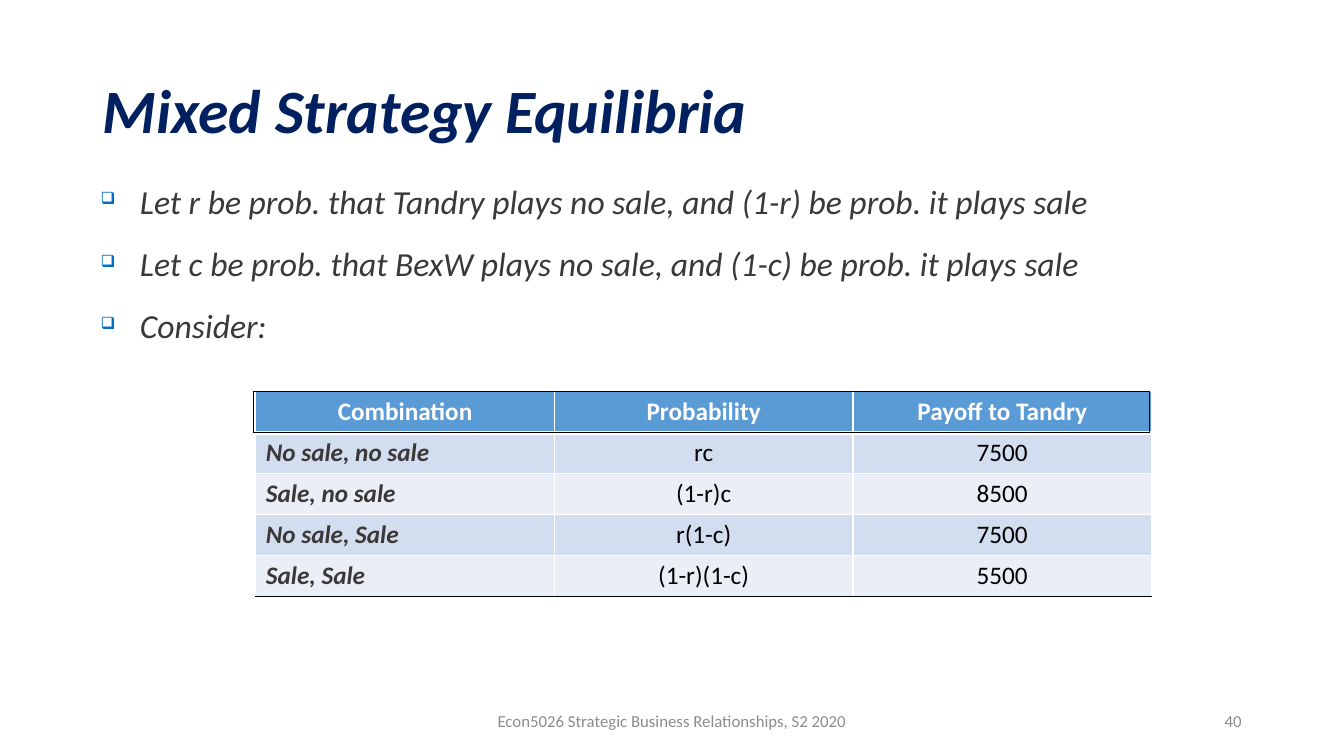
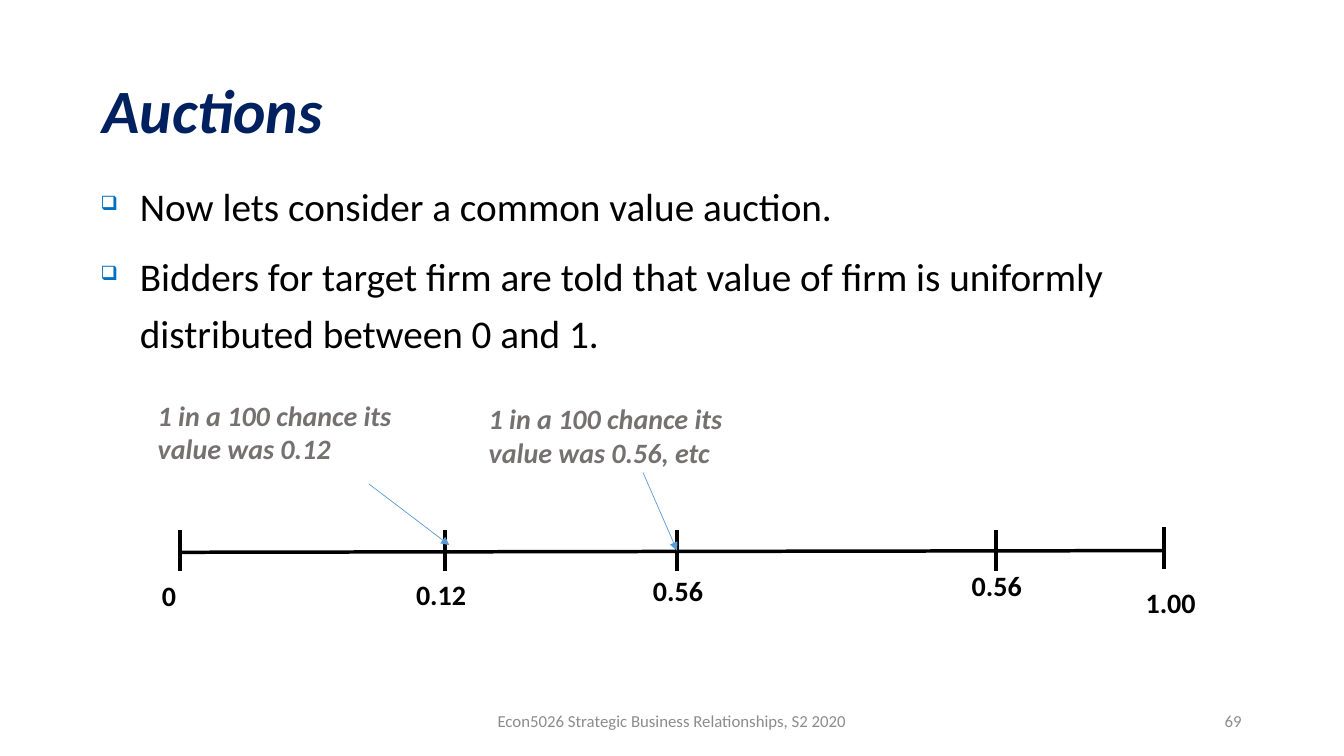
from lxml import etree
from pptx import Presentation
from pptx import util as u
from pptx.dml.color import RGBColor
from pptx.enum import shapes, text
from pptx.oxml import parse_xml
from pptx.oxml.ns import nsdecls, qn

NAVY = RGBColor(0x00, 0x20, 0x60)
BULLET_BLUE = RGBColor(0x00, 0x70, 0xC0)
BLUE = RGBColor(0x5B, 0x9B, 0xD5)
BAND_DARK = RGBColor(0xD2, 0xDE, 0xEF)
BAND_LIGHT = RGBColor(0xEA, 0xEF, 0xF7)
CHARCOAL = RGBColor(0x3B, 0x38, 0x38)
GREY = RGBColor(0x76, 0x71, 0x71)
FOOTER_GREY = RGBColor(0x8C, 0x8C, 0x8C)
BLACK = RGBColor(0, 0, 0)
WHITE = RGBColor(255, 255, 255)

FONT = "Calibri"
BULLET_FONT, SHADOWED_BOX = "Wingdings", "q"
LEFT, CENTRE, RIGHT = text.PP_ALIGN.LEFT, text.PP_ALIGN.CENTER, text.PP_ALIGN.RIGHT
MIDDLE, TOP = text.MSO_ANCHOR.MIDDLE, text.MSO_ANCHOR.TOP

# The slide is a grid of 160 columns by 90 rows of square cells.
COLUMNS, ROWS = 160, 90
CELL = u.Inches(7.5) // ROWS


def grid(*cells):
    """Turn grid columns and rows into lengths."""
    return [u.Emu(round(count * CELL)) for count in cells]


def write(frame, *lines, size=20, colour=BLACK, bold=False, italic=False,
          align=LEFT, anchor=TOP, spacing=None, before=0, bullet=None):
    """Fill a text frame with one paragraph per line."""
    frame.word_wrap = True
    frame.vertical_anchor = anchor
    for index, line in enumerate(lines):
        paragraph = frame.add_paragraph() if index else frame.paragraphs[0]
        paragraph.alignment = align
        if spacing:
            paragraph.line_spacing = spacing
        if index and before:
            paragraph.space_before = u.Pt(before)
        if bullet:
            properties = paragraph._p.get_or_add_pPr()
            indent = u.Inches(0.39)
            properties.set("marL", str(indent))
            properties.set("indent", str(-indent))
            for mark in (f'<a:buClr {nsdecls("a")}><a:srgbClr val="{BULLET_BLUE}"/></a:buClr>',
                         f'<a:buSzPct {nsdecls("a")} val="50000"/>',
                         f'<a:buFont {nsdecls("a")} typeface="{BULLET_FONT}" charset="2"/>',
                         f'<a:buChar {nsdecls("a")} char="{bullet}"/>'):
                properties.append(parse_xml(mark))
        run = paragraph.add_run()
        run.text = line
        run.font.name = FONT
        run.font.size = u.Pt(size)
        run.font.bold = bold
        run.font.italic = italic
        run.font.color.rgb = colour


deck = Presentation()
deck.slide_width, deck.slide_height = grid(COLUMNS, ROWS)

# Title, bullets and footer of both slides
pages = [
    ("Mixed Strategy Equilibria", "40", dict(size=24, colour=CHARCOAL, italic=True), [
        "Let r be prob. that Tandry plays no sale, and (1-r) be prob. it plays sale",
        "Let c be prob. that BexW plays no sale, and (1-c) be prob. it plays sale",
        "Consider:"]),
    ("Auctions", "69", dict(size=28), [
        "Now lets consider a common value auction.",
        "Bidders for target firm are told that value of firm is uniformly "
        "distributed between 0 and 1."]),
]
for heading, number, style, points in pages:
    slide = deck.slides.add_slide(deck.slide_layouts[5])
    title = slide.shapes.title
    title.left, title.top, title.width, title.height = grid(11, 4.8, 138, 17.4)
    write(title.text_frame, heading, size=44, colour=NAVY, bold=True, italic=True,
          anchor=MIDDLE, spacing=0.9)
    body = slide.shapes.add_textbox(*grid(10.8, 19.95, 138, 57.1))
    write(body.text_frame, *points, spacing=1.2, before=10, bullet=SHADOWED_BOX, **style)
    for words, left, width, align in (
            ("Econ5026 Strategic Business Relationships, S2 2020", 53, 54, CENTRE),
            (number, 113, 36, RIGHT)):
        footer = slide.shapes.add_textbox(*grid(left, 83.4, width, 4.8))
        write(footer.text_frame, words, size=12, colour=FOOTER_GREY, align=align, anchor=MIDDLE)

equilibria, auctions = deck.slides

# Payoff table
payoffs = [
    ("Combination", "Probability", "Payoff to Tandry"),
    ("No sale, no sale", "rc", "7500"),
    ("Sale, no sale", "(1-r)c", "8500"),
    ("No sale, Sale", "r(1-c)", "7500"),
    ("Sale, Sale", "(1-r)(1-c)", "5500"),
]
payoff_left, payoff_top, payoff_width, payoff_row = 30.45, 46.65, 106.65, 4.87
last = len(payoffs) - 1
payoff_table = equilibria.shapes.add_table(
    len(payoffs), 3,
    *grid(payoff_left, payoff_top, payoff_width, payoff_row * len(payoffs))).table
borders = []
for r, row in enumerate(payoffs):
    for c, value in enumerate(row):
        cell = payoff_table.cell(r, c)
        header, name = r == 0, c == 0
        cell.fill.solid()
        cell.fill.fore_color.rgb = BLUE if header else BAND_DARK if r % 2 else BAND_LIGHT
        write(cell.text_frame, value, size=18,
              colour=WHITE if header else CHARCOAL if name else BLACK,
              bold=header or name, italic=name and not header,
              align=LEFT if name and not header else CENTRE)
        for side in "LRTB":
            # The rule under the header is shared with the row below it.
            heavy = (side == "B" and header) or (side == "T" and r == 1)
            borders.append((cell, side, BLACK if side == "B" and r == last else WHITE,
                            3 if heavy else 1))

# Empty one-cell table that frames the header row
header_table = equilibria.shapes.add_table(
    1, 1, *grid(payoff_left - 0.25, payoff_top, payoff_width, 4.8)).table
header_table.first_row = header_table.horz_banding = False
header_cell = header_table.cell(0, 0)
header_cell.fill.background()
borders += [(header_cell, side, BLACK, 1) for side in "LRTB"]

for cell, side, colour, weight in borders:
    cell._tc.get_or_add_tcPr().insert("LRTB".index(side), parse_xml(
        f'<a:ln{side} {nsdecls("a")} w="{u.Pt(weight)}"><a:solidFill>'
        f'<a:srgbClr val="{colour}"/></a:solidFill></a:ln{side}>'))

# Value scale from 0 to 1: tick column and top, label text, corner and width
scale = [
    (21.45, 63.1, "0", 18.1, 68.3, 6.7),
    (53, 63.1, "0.12", 48.35, 68.2, 10.4),
    (80.6, 63.1, "0.56", 76.55, 67.7, 10.4),
    (118.55, 63.1, "0.56", 114.5, 67.1, 10.4),
    (138.6, 62.8, "1.00", 135.2, 69.1, 10.4),
]
strokes = [((scale[0][0], 65.75, scale[-1][0], 65.55), BLACK, 2.5, False)]
for tick, top, label, left, label_top, width in scale:
    strokes.append(((tick, top, tick, top + 4.9), BLACK, 2.5, False))
    value = auctions.shapes.add_textbox(*grid(left, label_top, width, 5.3))
    write(value.text_frame, label, bold=True)

chances = [
    ("1 in a 100 chance its value was 0.12", 17.6, 46.8, (43.9, 57.6, 53.5, 64.9)),
    ("1 in a 100 chance its value was 0.56, etc", 57, 47.25, (76.55, 56.25, 80.6, 65.55)),
]
for words, left, top, pointer in chances:
    chance = auctions.shapes.add_textbox(*grid(left, top, 32.9, 9.2))
    write(chance.text_frame, words, colour=GREY, bold=True, italic=True)
    strokes.append((pointer, BLUE, 0.5, True))

for ends, colour, weight, arrow in strokes:
    stroke = auctions.shapes.add_connector(shapes.MSO_CONNECTOR.STRAIGHT, *grid(*ends))
    stroke.line.color.rgb = colour
    stroke.line.width = u.Pt(weight)
    if arrow:
        etree.SubElement(stroke.line._get_or_add_ln(), qn("a:tailEnd"), type="triangle")
    etree.SubElement(stroke._element.spPr, qn("a:effectLst"))

deck.save("out.pptx")
